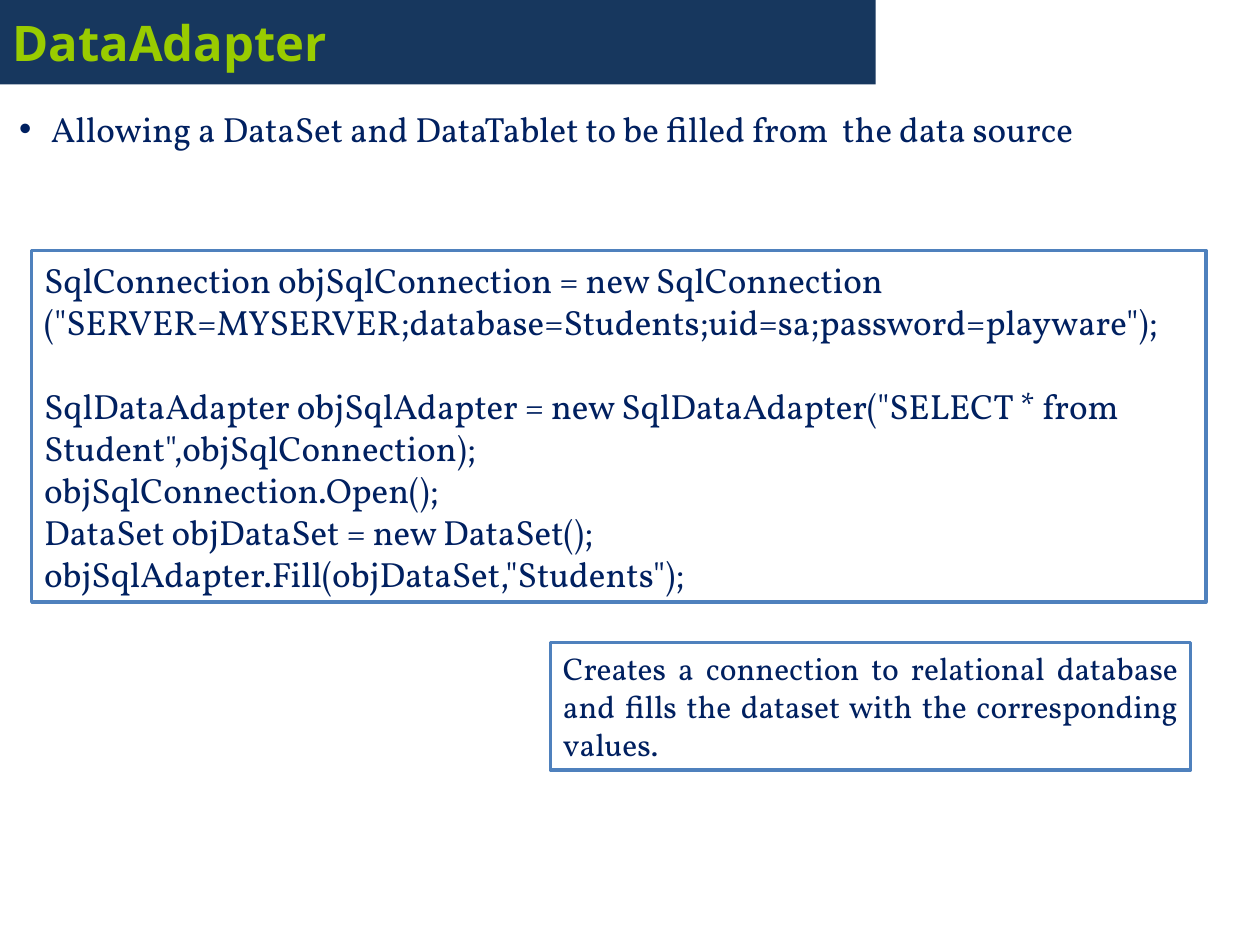
from pptx import Presentation
from pptx.dml.color import RGBColor
from pptx.enum.shapes import MSO_SHAPE
from pptx.enum.text import MSO_ANCHOR, MSO_AUTO_SIZE, PP_ALIGN
from pptx.util import Cm, Pt

RECTANGLE = MSO_SHAPE.RECTANGLE
MIDDLE, TOP = MSO_ANCHOR.MIDDLE, MSO_ANCHOR.TOP
NO_AUTOFIT = MSO_AUTO_SIZE.NONE
LEFT, JUSTIFY = PP_ALIGN.LEFT, PP_ALIGN.JUSTIFY

NAVY = RGBColor(0x00, 0x20, 0x60)
BANNER_BLUE = RGBColor(0x17, 0x37, 0x5E)
LIME = RGBColor(0x99, 0xCC, 0x00)
BORDER_BLUE = RGBColor(0x4F, 0x81, 0xBD)
WHITE = RGBColor(0xFF, 0xFF, 0xFF)

HEADING = ["DataAdapter"]
PURPOSE = ["Allowing a DataSet and DataTablet to be filled from  the data source"]
CONNECTION_CODE = [
    'SqlConnection objSqlConnection = new SqlConnection ("SERVER=MYSERVER;database=Students;uid=sa;password=playware");',
]
ADAPTER_CODE = [
    'SqlDataAdapter objSqlAdapter = new SqlDataAdapter("SELECT * from Student",objSqlConnection);',
    "objSqlConnection.Open();",
    "DataSet objDataSet = new DataSet();",
    'objSqlAdapter.Fill(objDataSet,"Students");',
]
EXPLANATION = [
    "Creates a connection to relational database and fills the dataset with the corresponding values.",
]

HEADING_FONT = {"name": "Open Sans", "size": Pt(28), "bold": True}
BODY_FONT = {"name": "Vollkorn", "size": Pt(20)}
EXPLANATION_FONT = {"name": "Vollkorn", "size": Pt(18)}

HEADING_BOX = (0, 0, 17.65, 1.7)
PURPOSE_BOX = (0.13, 1.7, 25.07, 2.34)
CODE_BOX = (0.64, 5.05, 23.67, 7.09)
EXPLANATION_BOX = (11.1, 12.95, 12.9, 2.57)


def apply(target, values):
    for name, value in values.items():
        setattr(target, name, value)


def place(part, box):
    apply(part, dict(zip(("left", "top", "width", "height"), map(Cm, box))))


def write(part, lines, font, color, anchor=MIDDLE, alignment=LEFT):
    frame = part.text_frame
    frame.text = "\n".join(lines)
    apply(frame, {"word_wrap": True, "auto_size": NO_AUTOFIT, "vertical_anchor": anchor})
    for paragraph in frame.paragraphs:
        paragraph.alignment = alignment
        for run in paragraph.runs:
            apply(run.font, font)
            run.font.color.rgb = color
    return frame.paragraphs


def add_panel(slide, box, lines, font, alignment=LEFT):
    panel = slide.shapes.add_shape(RECTANGLE, *map(Cm, box))
    panel.shadow.inherit = False
    panel.fill.solid()
    panel.fill.fore_color.rgb = WHITE
    panel.line.color.rgb = BORDER_BLUE
    panel.line.width = Pt(2)
    return write(panel, lines, font, NAVY, alignment=alignment)


def main():
    deck = Presentation()
    apply(deck, {"slide_width": Cm(25.4), "slide_height": Cm(19.05)})
    slide = deck.slides.add_slide(deck.slide_layouts[1])

    heading, purpose = slide.placeholders
    place(heading, HEADING_BOX)
    heading.fill.solid()
    heading.fill.fore_color.rgb = BANNER_BLUE
    write(heading, HEADING, HEADING_FONT, LIME)

    place(purpose, PURPOSE_BOX)
    for paragraph in write(purpose, PURPOSE, BODY_FONT, NAVY, anchor=TOP):
        paragraph.line_spacing = 1.4
        indent = Cm(0.64)
        properties = paragraph._p.get_or_add_pPr()
        properties.set("marL", str(indent))
        properties.set("indent", str(-indent))

    code = add_panel(slide, CODE_BOX, CONNECTION_CODE + ADAPTER_CODE, BODY_FONT)
    code[len(CONNECTION_CODE)].space_before = Pt(24)
    add_panel(slide, EXPLANATION_BOX, EXPLANATION, EXPLANATION_FONT, JUSTIFY)

    deck.save("out.pptx")


if __name__ == "__main__":
    main()
